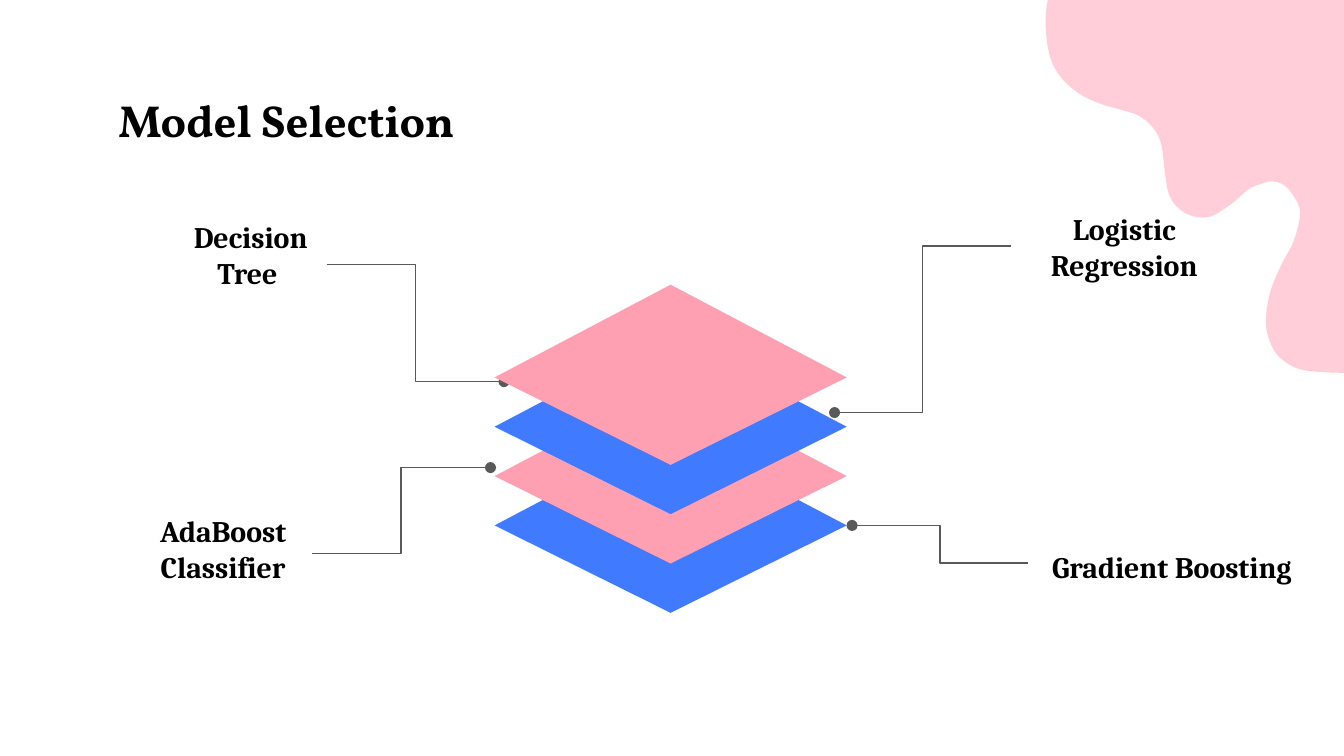
from lxml.etree import SubElement
from pptx import Presentation
from pptx.dml.color import RGBColor
from pptx.enum.shapes import MSO_CONNECTOR
from pptx.enum.text import MSO_ANCHOR, MSO_AUTO_SIZE, PP_ALIGN
from pptx.oxml.ns import qn
from pptx.util import Inches, Pt

PX = 9144
COLORS = {"pink": "FF9FB2", "blue": "407BFF", "gray": "595959", "ink": "000000"}


def write(box, text, size=16, font="Cambria", align=PP_ALIGN.CENTER, anchor=MSO_ANCHOR.BOTTOM):
    frame = box.text_frame
    frame.text = text
    frame.word_wrap = True
    frame.auto_size = MSO_AUTO_SIZE.NONE
    frame.vertical_anchor = anchor
    frame.margin_left = frame.margin_right = Inches(0.1)
    frame.margin_top = frame.margin_bottom = Inches(0.1)
    for para in frame.paragraphs:
        para.alignment = align
        for run in para.runs:
            run.font.size = Pt(size)
            run.font.name = font
            run.font.bold = True
            run.font.color.rgb = RGBColor.from_string(COLORS["ink"])


def outline(points, color):
    spots = [(round(x * PX), round(y * PX)) for x, y in points]
    form = shapes.build_freeform(*spots[0])
    form.add_line_segments(spots[1:], close=True)
    shape = form.convert_to_shape()
    shape.shadow.inherit = False
    shape.fill.solid()
    shape.fill.fore_color.rgb = RGBColor.from_string(COLORS[color])
    shape.line.fill.background()
    return shape


deck = Presentation()
deck.slide_width = 1000 * PX
deck.slide_height = deck.slide_width * 9 // 16
slide = deck.slides.add_slide(deck.slide_layouts[5])
shapes = slide.shapes

knots = [
    (812, -35), (800, -32), (788, -25), (781, -6), (778, 16), (781, 41), (789, 57),
    (802, 69), (818, 77), (835, 82), (847, 86), (857, 94), (864, 107), (867, 130),
    (870, 145), (877, 155), (888, 161), (901, 161), (916, 152), (929, 141), (938, 137),
    (947, 135), (957, 139), (966, 152), (967, 163), (962, 181), (954, 196), (945, 218),
    (942, 241), (947, 259), (956, 269), (968, 275), (985, 277), (1005, 278), (1020, 282),
]
steps = 6
ends = [knots[0], *knots, knots[-1]]
curve = [(1021, -35)]
for a, b, c, d in zip(ends, ends[1:], ends[2:], ends[3:]):
    for step in range(steps):
        t = step / steps
        curve.append(tuple(
            q + t * (r - p + t * (2 * p - 5 * q + 4 * r - s + t * (3 * q - p - 3 * r + s))) / 2
            for p, q, r, s in zip(a, b, c, d)
        ))
curve.append(knots[-1])
blob = outline(curve, "pink")
tint = blob.fill._xPr.find(qn("a:solidFill"))[0]
SubElement(tint, qn("a:alpha"), val="50000")
shapes._spTree.insert(2, blob._element)

title = shapes.title
title.left, title.top, title.width, title.height = [n * PX for n in (78, 59, 844, 81)]
write(title, "Model Selection", size=24, font="Vollkorn", align=PP_ALIGN.LEFT, anchor=MSO_ANCHOR.TOP)

labels = [
    ("Logistic Regression", 752, 146, 169, 74),
    ("Decision Tree ", 114, 168, 145, 58),
    ("Gradient Boosting", 765, 393, 214, 52),
    ("AdaBoost\nClassifier", 100, 380, 132, 65),
]
for text, *area in labels:
    write(shapes.add_textbox(*[n * PX for n in area]), text)

links = [
    (243, 197, 375, 284),
    (232, 412, 365, 348),
    (752, 183, 621, 307),
    (765, 419, 634, 391),
]
for link in links:
    wire = shapes.add_connector(MSO_CONNECTOR.ELBOW, *[n * PX for n in link])
    wire.line.color.rgb = RGBColor.from_string(COLORS["gray"])
    wire.line.width = Pt(0.75)
    SubElement(wire.line._get_or_add_ln(), qn("a:tailEnd"), type="oval")
    SubElement(wire._element.spPr, qn("a:effectLst"))

left, mid, right = 368, 499, 630
for i, color in enumerate(["blue", "pink", "blue", "pink"]):
    top = 322 - i * 36.7
    outline([(mid, top), (right, top + 69), (mid, top + 134), (left, top + 69)], color)

deck.save("out.pptx")
